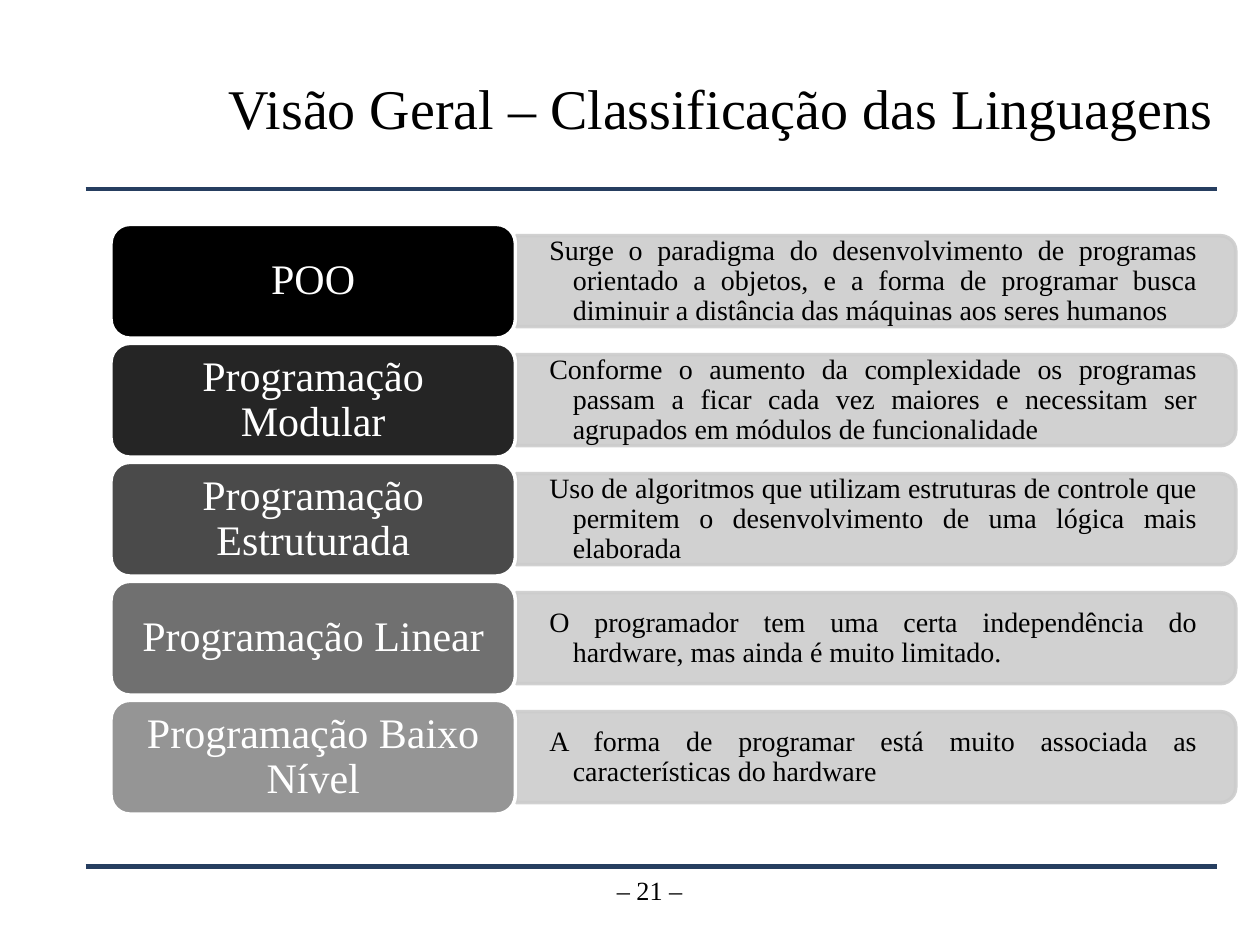
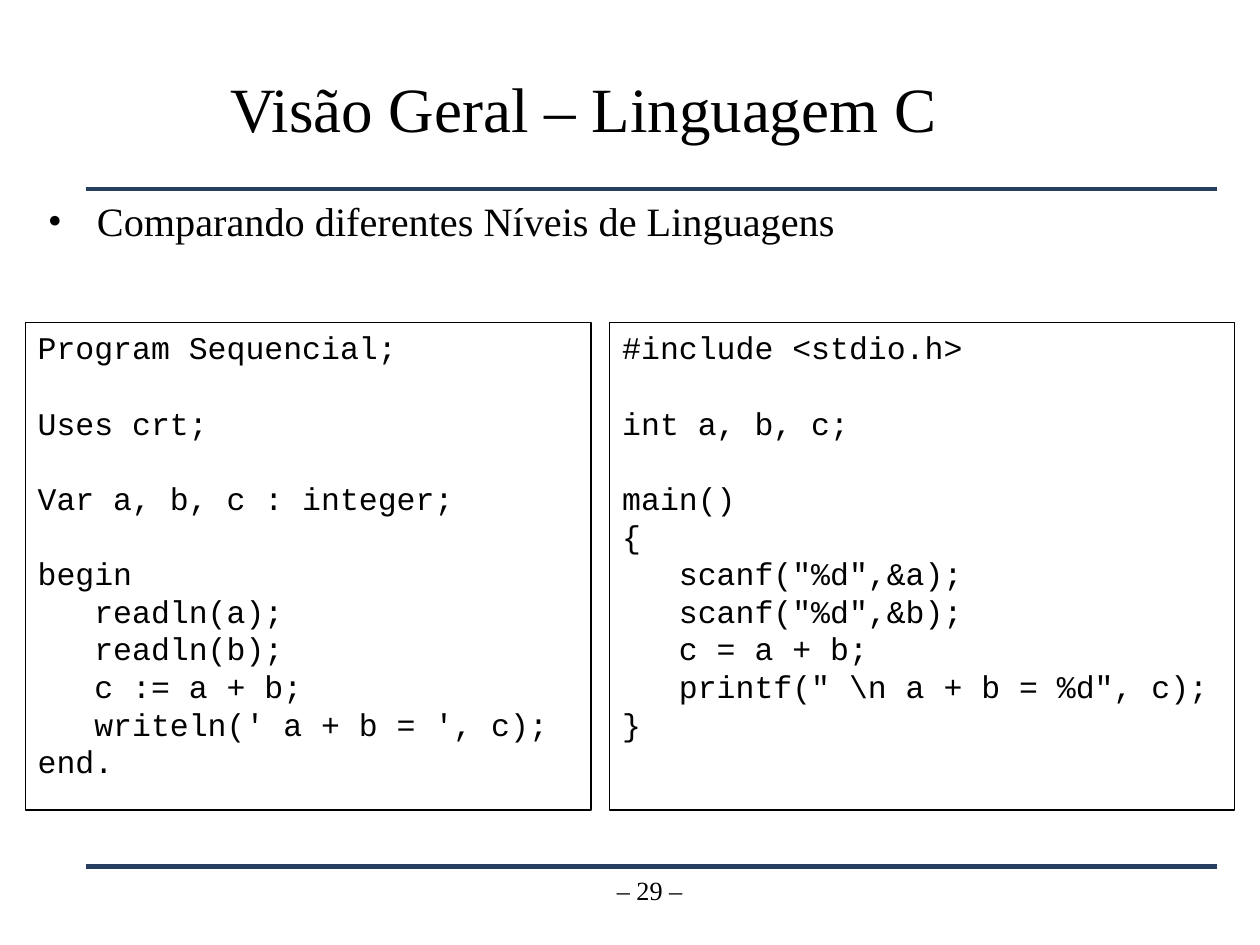
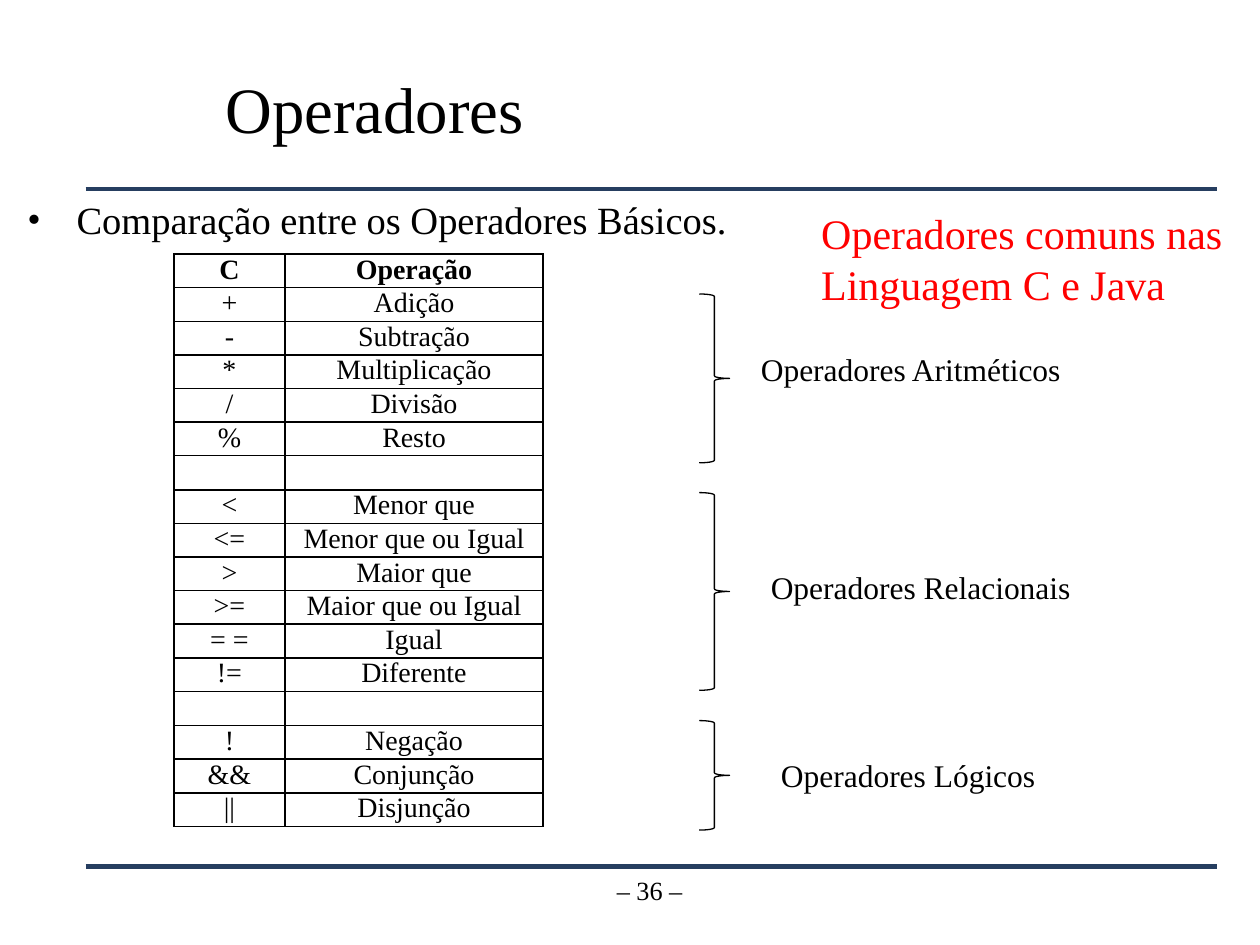
from lxml.etree import SubElement
from pptx import Presentation
from pptx.dml.color import RGBColor
from pptx.enum.shapes import MSO_CONNECTOR, MSO_SHAPE as Preset
from pptx.enum.text import MSO_ANCHOR as Anchor, MSO_AUTO_SIZE as AutoSize, PP_ALIGN as Align
from pptx.oxml.ns import qn
from pptx.util import Pt

NAVY = RGBColor(0x26, 0x3E, 0x60)
BLACK = RGBColor(0, 0, 0)
WHITE = RGBColor(0xFF, 0xFF, 0xFF)
SILVER = RGBColor(0xCC, 0xCC, 0xCC)
RED = RGBColor(0xFF, 0, 0)
SERIF = "Times New Roman"
MONO = "Courier New"

SLIDE_WIDTH, SLIDE_HEIGHT = 720, 540
RULE_LEFT, RULE_RIGHT = 49, 695.5
RULE_TOPS = (108, 495.4)

PARADIGMS = [
    ("POO", BLACK,
     "Surge o paradigma do desenvolvimento de programas orientado a objetos, e a forma de "
     "programar busca diminuir a distância das máquinas aos seres humanos"),
    ("Programação Modular", RGBColor(0x25, 0x25, 0x25),
     "Conforme o aumento da complexidade os programas passam a ficar cada vez maiores e "
     "necessitam ser agrupados em módulos de funcionalidade"),
    ("Programação Estruturada", RGBColor(0x4A, 0x4A, 0x4A),
     "Uso de algoritmos que utilizam estruturas de controle que permitem o desenvolvimento "
     "de uma lógica mais elaborada"),
    ("Programação Linear", RGBColor(0x70, 0x70, 0x70),
     "O programador tem uma certa independência do hardware, mas ainda é muito limitado."),
    ("Programação Baixo Nível", RGBColor(0x95, 0x95, 0x95),
     "A forma de programar está muito associada as características do hardware"),
]

PASCAL_CODE = [
    "Program Sequencial;",
    "",
    "Uses crt;",
    "",
    "Var a, b, c : integer;",
    "",
    "begin",
    "   readln(a);",
    "   readln(b);",
    "   c := a + b;",
    "   writeln(' a + b = ', c);",
    "end.",
]
C_CODE = [
    "#include <stdio.h>",
    "",
    "int a, b, c;",
    "",
    "main()",
    "{",
    '   scanf("%d",&a);',
    '   scanf("%d",&b);',
    "   c = a + b;",
    '   printf(" \\n a + b = %d", c);',
    "}",
]
CODE_BOXES = [(14.4, 323.3, PASCAL_CODE), (348.5, 357.1, C_CODE)]

OPERATORS = [
    ("C", "Operação"),
    ("+", "Adição"),
    ("-", "Subtração"),
    ("*", "Multiplicação"),
    ("/", "Divisão"),
    ("%", "Resto"),
    ("", ""),
    ("<", "Menor que"),
    ("<=", "Menor que ou Igual"),
    (">", "Maior que"),
    (">=", "Maior que ou Igual"),
    ("= =", "Igual"),
    ("!=", "Diferente"),
    ("", ""),
    ("!", "Negação"),
    ("&&", "Conjunção"),
    ("||", "Disjunção"),
]
OPERATOR_COLUMNS = (63.4, 147.6)
OPERATOR_GROUPS = [
    ("Operadores Aritméticos", 168, 96.5, 427.7, 196.6),
    ("Operadores Relacionais", 281.5, 113, 433.4, 321.1),
    ("Operadores Lógicos", 411.8, 62.6, 439.2, 428.4),
]


def points(*lengths):
    return [Pt(length) for length in lengths]


def format_text(frame, size, color=BLACK, font=SERIF, align=Align.LEFT,
                anchor=Anchor.TOP, bold=False):
    frame.word_wrap = True
    frame.auto_size = AutoSize.NONE
    frame.vertical_anchor = anchor
    for paragraph in frame.paragraphs:
        paragraph.alignment = align
        for run in paragraph.runs:
            run.font.size = Pt(size)
            run.font.name = font
            run.font.bold = bold
            run.font.color.rgb = color


def set_indent(paragraph, left, first=0):
    properties = paragraph._p.get_or_add_pPr()
    properties.set("marL", str(Pt(left)))
    properties.set("indent", str(Pt(first)))
    return properties


def add_text(slide, text, box, size, **style):
    shape = slide.shapes.add_textbox(*points(*box))
    shape.text_frame.text = text
    format_text(shape.text_frame, size, **style)
    return shape.text_frame


def add_shape(slide, preset, box, line, line_width, fill=None):
    shape = slide.shapes.add_shape(preset, *points(*box))
    shape.shadow.inherit = False
    if fill is None:
        shape.fill.background()
    else:
        shape.fill.solid()
        shape.fill.fore_color.rgb = fill
    shape.line.color.rgb = line
    shape.line.width = Pt(line_width)
    return shape


def add_rules(slide):
    for top in RULE_TOPS:
        rule = slide.shapes.add_connector(
            MSO_CONNECTOR.STRAIGHT, *points(RULE_LEFT, top, RULE_RIGHT, top))
        rule.line.color.rgb = NAVY
        rule.line.width = Pt(2.83)
        SubElement(rule.element.spPr, qn("a:effectLst"))
        slide.slide_layout.shapes.element.append(rule.element)


def add_slide(presentation, title, title_size, page, title_left=116):
    slide = presentation.slides.add_slide(presentation.slide_layouts[5])
    shape = slide.shapes.title
    shape.left, shape.top, shape.width, shape.height = points(
        title_left, 23, 705.6 - title_left, 77)
    shape.text_frame.text = title
    format_text(shape.text_frame, title_size, anchor=Anchor.MIDDLE)
    add_text(slide, f"– {page} –", (287.3, 496.1, 167.8, 37.4), 15, align=Align.CENTER)
    return slide


def add_bullet(slide, text, box, size):
    paragraph = add_text(slide, text, box, size).paragraphs[0]
    paragraph.space_before = Pt(size * 0.2)
    properties = set_indent(paragraph, 28.1, -28.1)
    SubElement(properties, qn("a:buFont"), typeface=SERIF)
    SubElement(properties, qn("a:buChar"), char="•")


def add_paradigms(slide):
    label_height, pitch = 65, 68
    bar_center_x, bar_length, bar_height, text_height = 500.6, 411.1, 52, 46.8
    for index, (name, color, description) in enumerate(PARADIGMS):
        top = 128.2 + index * pitch
        middle = top + label_height / 2
        bar = add_shape(slide, Preset.ROUND_2_SAME_RECTANGLE,
                        (bar_center_x - bar_height / 2, middle - bar_length / 2,
                         bar_height, bar_length), SILVER, 2, SILVER)
        bar.rotation = 90
        for tint in bar.element.spPr.iter(qn("a:srgbClr")):
            SubElement(tint, qn("a:alpha"), val="90000")

        frame = add_text(slide, description,
                         (294.5, middle - text_height / 2, 409, text_height), 16,
                         align=Align.JUSTIFY, anchor=Anchor.MIDDLE)
        frame.margin_left = frame.margin_right = Pt(19.4)
        frame.margin_top = frame.margin_bottom = Pt(10)
        frame.paragraphs[0].line_spacing = 0.9
        set_indent(frame.paragraphs[0], 13.5, -13.5)

        label = add_shape(slide, Preset.ROUNDED_RECTANGLE,
                          (63.4, top, 231.1, label_height), WHITE, 2, color)
        label.text_frame.text = name
        format_text(label.text_frame, 24, WHITE, align=Align.CENTER, anchor=Anchor.MIDDLE)
        label.text_frame.paragraphs[0].line_spacing = 0.9


def add_code(slide, left, width, code):
    size, line_height, letter_width = 18, 21.5, 10.8
    box = add_shape(slide, Preset.RECTANGLE, (left, 184.3, width, 278.6), BLACK, 0.75, WHITE)
    lines = [(line, before == "") for before, line in zip([None] + code, code) if line]
    box.text_frame.text = "\n".join(line.lstrip() for line, _ in lines)
    format_text(box.text_frame, size, font=MONO)
    for paragraph, (line, after_gap) in zip(box.text_frame.paragraphs, lines):
        paragraph.line_spacing = Pt(line_height)
        paragraph.space_before = Pt(line_height if after_gap else 0)
        set_indent(paragraph, (len(line) - len(line.lstrip())) * letter_width)


def add_borders(cell):
    properties = cell._tc.get_or_add_tcPr()
    for side in ("lnL", "lnR", "lnT", "lnB"):
        border = SubElement(properties, qn(f"a:{side}"), w=str(Pt(1)))
        fill = SubElement(border, qn("a:solidFill"))
        SubElement(fill, qn("a:srgbClr"), val=str(BLACK))


def add_operator_table(slide):
    row_height = 19.2
    table = slide.shapes.add_table(
        len(OPERATORS), len(OPERATOR_COLUMNS),
        *points(99.4, 145.2, sum(OPERATOR_COLUMNS), row_height * len(OPERATORS))).table
    table.first_row = table.horz_banding = False
    for column, width in zip(table.columns, OPERATOR_COLUMNS):
        column.width = Pt(width)
    for row_index, texts in enumerate(OPERATORS):
        table.rows[row_index].height = Pt(row_height)
        for column_index, text in enumerate(texts):
            cell = table.cell(row_index, column_index)
            cell.margin_left = cell.margin_right = Pt(5)
            cell.margin_top = cell.margin_bottom = 0
            add_borders(cell)
            cell.fill.background()
            if text:
                cell.text_frame.text = text
                format_text(cell.text_frame, 16, align=Align.CENTER, bold=row_index == 0)
            else:
                SubElement(cell.text_frame.paragraphs[0]._p, qn("a:endParaRPr"), sz="1600")


def main():
    presentation = Presentation()
    presentation.slide_width, presentation.slide_height = points(SLIDE_WIDTH, SLIDE_HEIGHT)

    slide = add_slide(presentation, " Visão Geral – Classificação das Linguagens", 32, 21)
    add_rules(slide)
    add_paradigms(slide)

    slide = add_slide(presentation, " Visão Geral – Linguagem C", 36, 29)
    add_bullet(slide, "Comparando diferentes Níveis de Linguagens", (20.2, 108.7, 699.8, 67), 23)
    for left, width, code in CODE_BOXES:
        add_code(slide, left, width, code)

    slide = add_slide(presentation, "Operadores", 37, 36, title_left=121.7)
    add_bullet(slide, "Comparação entre os Operadores Básicos.", (8.6, 108.7, 583.9, 87.1), 22)
    add_operator_table(slide)
    for name, brace_top, brace_height, left, top in OPERATOR_GROUPS:
        add_shape(slide, Preset.RIGHT_BRACE, (399.6, brace_top, 17.3, brace_height), BLACK, 0.75)
        add_text(slide, name, (left, top, 188, 28.8), 18)
    add_text(slide, "Operadores comuns nas Linguagem C e Java",
             (462.2, 115.2, 249.1, 65.5), 24, color=RED)

    presentation.save("out.pptx")


if __name__ == "__main__":
    main()
